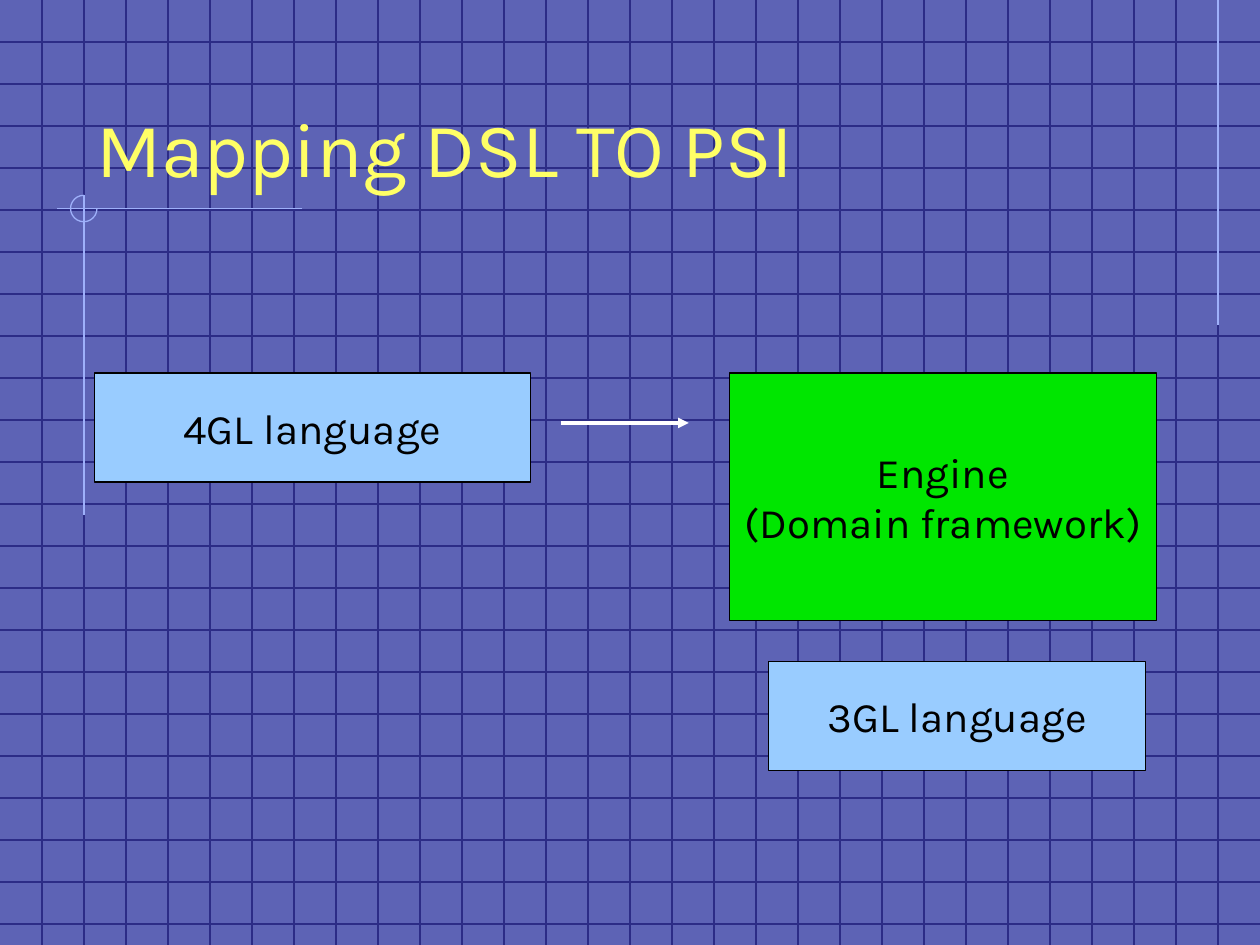
from pptx import Presentation
from pptx.dml.color import RGBColor
from pptx.enum.shapes import MSO_CONNECTOR as Link, MSO_SHAPE as Form
from pptx.enum.text import MSO_ANCHOR as Anchor, PP_ALIGN as Align
from pptx.oxml.ns import qn
from pptx.util import Inches, Pt
from lxml.etree import SubElement

COLS, ROWS = 30, 22.5
GRID, TRIM, SKY, GREEN = "2C2C86", "9EB0FA", "99CCFF", "00E600"
BLACK, WHITE, YELLOW = "000000", "FFFFFF", "FFFF66"


def cells(*counts):
    return [Inches(count / 3) for count in counts]


def tint(part, shade):
    part.solid()
    part.fore_color.rgb = RGBColor.from_string(shade)


def stroke(line, shade, width=0.75):
    tint(line.fill, shade)
    line.width = Pt(width)


def rule(slide, ends, shade, width=0.75, arrow=False):
    link = slide.shapes.add_connector(Link.STRAIGHT, *cells(*ends))
    stroke(link.line, shade, width)
    props = link._element.spPr
    if arrow:
        SubElement(props.find(qn("a:ln")), qn("a:tailEnd"), type="triangle")
    SubElement(props, qn("a:effectLst"))


def write(frame, rows, size, shade, align):
    for index, row in enumerate(rows):
        para = frame.paragraphs[0] if index == 0 else frame.add_paragraph()
        para.alignment = align
        run = para.add_run()
        run.text = row
        run.font.name = "Karla"
        run.font.size = Pt(size)
        run.font.color.rgb = RGBColor.from_string(shade)


def title(slide, area, text):
    frame = slide.shapes.add_textbox(*cells(*area)).text_frame
    frame.word_wrap = True
    frame.vertical_anchor = Anchor.BOTTOM
    write(frame, [text], 44, YELLOW, Align.LEFT)


def box(slide, area, fill, *rows):
    shape = slide.shapes.add_shape(Form.RECTANGLE, *cells(*area))
    shape.shadow.inherit = False
    tint(shape.fill, fill)
    stroke(shape.line, BLACK)
    frame = shape.text_frame
    frame.word_wrap = False
    frame.vertical_anchor = Anchor.MIDDLE
    write(frame, rows, 24, BLACK, Align.CENTER)


def arc(slide, area):
    shape = slide.shapes.add_shape(Form.ARC, *cells(*area))
    shape.shadow.inherit = False
    shape.fill.background()
    stroke(shape.line, TRIM)
    shape.adjustments[0] = 0
    shape.adjustments[1] = 270 * 0.6


def mesh(slide):
    for row in range(1, int(ROWS) + 1):
        rule(slide, (0, row, COLS, row), GRID)
    for col in range(1, COLS):
        rule(slide, (col, 0, col, ROWS), GRID)


def trim(slide):
    rule(slide, (29, 0, 29, 7.74), TRIM)
    rule(slide, (7.2, 4.97, 1.35, 4.97), TRIM)
    rule(slide, (2, 4.65, 2, 12.27), TRIM)
    arc(slide, (1.68, 4.65, 0.63, 0.63))


def main():
    deck = Presentation()
    deck.slide_width, deck.slide_height = cells(COLS, ROWS)
    slide = deck.slides.add_slide(deck.slide_layouts[6])
    tint(slide.background.fill, "5D63B5")
    mesh(slide)
    trim(slide)
    title(slide, (2, 1, 25.5, 3.75), "Mapping DSL TO PSI")
    box(slide, (18.3, 15.75, 8.98, 2.6), SKY, "3GL language")
    box(slide, (2.25, 8.88, 10.38, 2.6), SKY, "4GL language")
    rule(slide, (13.35, 10.07, 16.4, 10.07), WHITE, 2, arrow=True)
    box(slide, (17.37, 8.88, 10.16, 5.9), GREEN, "Engine", "(Domain framework)")
    deck.save("out.pptx")


if __name__ == "__main__":
    main()
